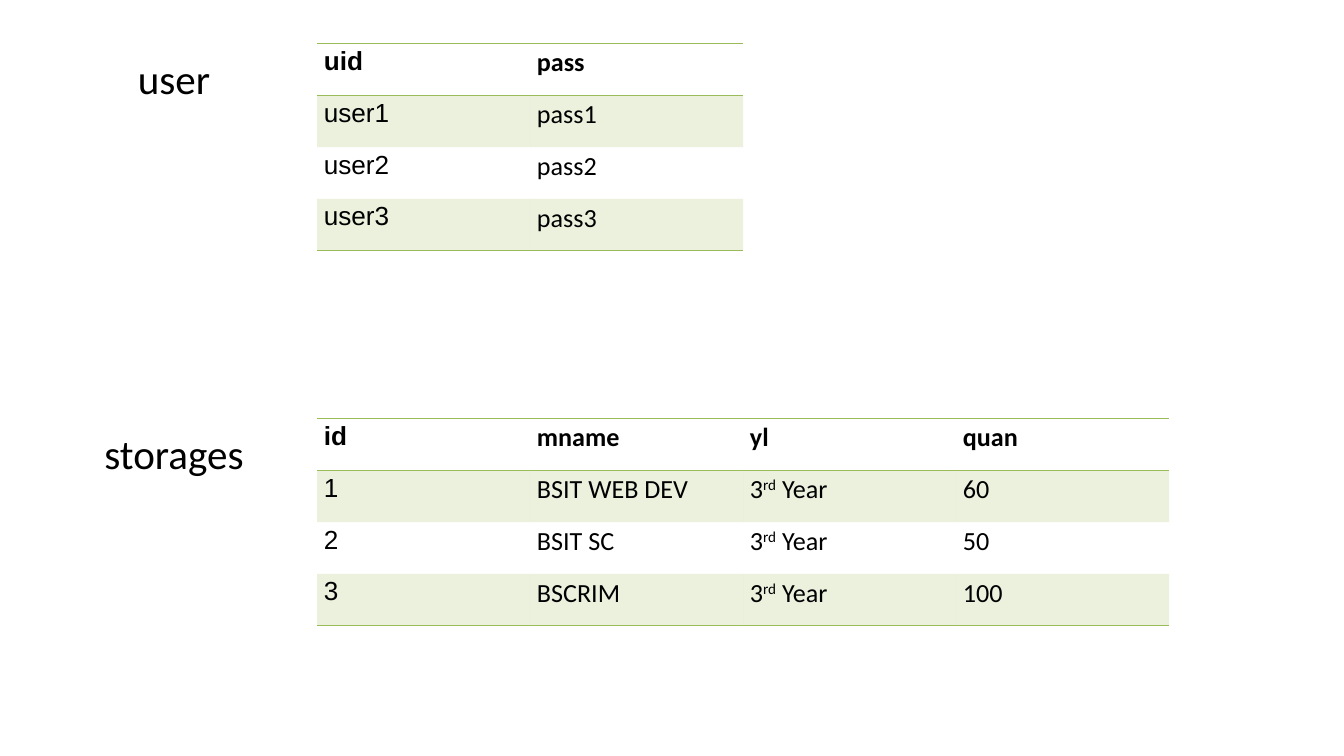
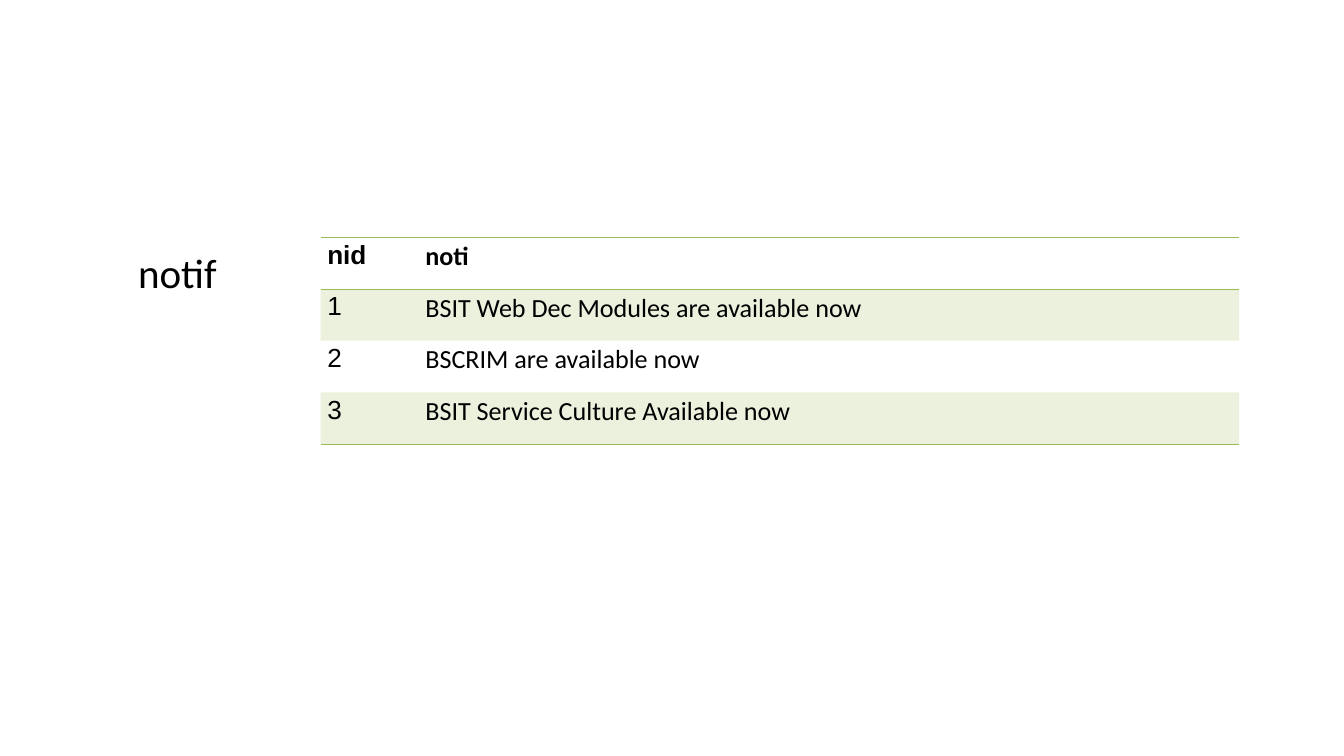
"""Build two slides that show the tables of a small module database."""
from lxml import etree
from pptx import Presentation
from pptx.dml.color import RGBColor
from pptx.enum.text import MSO_ANCHOR, MSO_AUTO_SIZE, PP_ALIGN
from pptx.oxml.ns import qn
from pptx.util import Inches, Pt

CENTER = PP_ALIGN.CENTER
MIDDLE = MSO_ANCHOR.MIDDLE
NO_AUTOFIT = MSO_AUTO_SIZE.NONE
TITLE_ONLY = 5
PLAIN_TABLE_STYLE = "{2D5ABB26-0587-4C30-8999-92F81FD0307C}"

BLACK, GREEN = "000000", "9BBB59"
BAND_OPACITY = "20000"
SUPERSCRIPT = "30000"
KEY_FONT, TEXT_FONT = "Arial", "Calibri"
LABEL_FORMAT = {"name": TEXT_FONT, "size": Pt(44)}

SLIDE_WIDTH, SLIDE_HEIGHT = 20, 11.25
ROW_HEIGHT = 0.77
COLUMN_WIDTH = 3.17
LABEL_WIDTH, LABEL_HEIGHT = 3.42, 1.03
LABEL_OFFSET = 3.84

SLIDES = [
    [
        {"name": "storages", "is_title": True, "at": (4.72, 6.23), "widths": [COLUMN_WIDTH] * 4,
         "rows": [("id", "mname", "yl", "quan"),
                  ("1", "BSIT WEB DEV", "3^rd^ Year", "60"),
                  ("2", "BSIT SC", "3^rd^ Year", "50"),
                  ("3", "BSCRIM", "3^rd^ Year", "100")]},
        {"name": "user", "is_title": False, "at": (4.72, 0.65), "widths": [COLUMN_WIDTH] * 2,
         "rows": [("uid", "pass"), ("user1", "pass1"), ("user2", "pass2"), ("user3", "pass3")]},
    ],
    [
        {"name": "notif", "is_title": True, "at": (4.77, 3.53), "widths": [1.46, 12.21],
         "rows": [("nid", "noti"),
                  ("1", "BSIT Web Dec Modules are available now"),
                  ("2", "BSCRIM are available now"),
                  ("3", "BSIT Service Culture Available now")]},
    ],
]


def paint(target, color):
    """Give a font or a solid fill its colour from a hex string."""
    target.color.rgb = RGBColor.from_string(color)


def apply_font(font, values):
    """Set each font attribute in values, then colour the text black."""
    for attribute, value in values.items():
        setattr(font, attribute, value)
    paint(font, BLACK)


def add_label(page, entity):
    """Place the name of a table to the left of it."""
    left, top = entity["at"]
    frame_at = [Inches(v) for v in (left - LABEL_OFFSET, top, LABEL_WIDTH, LABEL_HEIGHT)]
    if entity["is_title"]:
        box = page.shapes.title
        box.left, box.top, box.width, box.height = frame_at
    else:
        box = page.shapes.add_textbox(*frame_at)
    frame = box.text_frame
    frame.text = entity["name"]
    for attribute, value in {"word_wrap": True, "auto_size": NO_AUTOFIT,
                             "vertical_anchor": MIDDLE}.items():
        setattr(frame, attribute, value)
    para = frame.paragraphs[0]
    para.alignment = CENTER
    apply_font(para.runs[0].font, LABEL_FORMAT)


def add_border(cell, side):
    """Draw a one-point green line on one side of a cell."""
    line = etree.SubElement(cell._tc.get_or_add_tcPr(), qn(f"a:{side}"), w=str(Pt(1)))
    fill = etree.SubElement(line, qn("a:solidFill"))
    etree.SubElement(fill, qn("a:srgbClr"), val=GREEN)


def shade(cell):
    """Fill a cell with translucent green."""
    cell.fill.solid()
    cell.fill.fore_color.rgb = RGBColor.from_string(GREEN)
    color = cell._tc.tcPr.find(".//" + qn("a:solidFill") + "/" + qn("a:srgbClr"))
    fill = cell._tc.tcPr.find(qn("a:solidFill"))
    color = fill.find(qn("a:srgbClr"))
    etree.SubElement(color, qn("a:alpha"), val=BAND_OPACITY)


def write_cell(cell, text, values):
    """Write text in a cell, raising the parts between carets."""
    para = cell.text_frame.paragraphs[0]
    for index, part in enumerate(text.split("^")):
        span = para.add_run()
        span.text = part
        apply_font(span.font, values)
        if index % 2:
            span._r.get_or_add_rPr().set("baseline", SUPERSCRIPT)


def add_entity_table(page, entity):
    """Add a table with ruled header, shaded odd rows and a closing line."""
    rows, widths = entity["rows"], entity["widths"]
    left, top = entity["at"]
    size = (sum(widths), ROW_HEIGHT * len(rows))
    table = page.shapes.add_table(len(rows), len(widths),
                                  *[Inches(v) for v in (left, top, *size)]).table
    table._tbl.tblPr.find(qn("a:tableStyleId")).text = PLAIN_TABLE_STYLE
    for column, width in zip(table.columns, widths):
        column.width = Inches(width)
    for r, texts in enumerate(rows):
        table.rows[r].height = Inches(ROW_HEIGHT)
        for c, text in enumerate(texts):
            cell = table.cell(r, c)
            write_cell(cell, text, {"name": TEXT_FONT if c else KEY_FONT,
                                    "size": Pt(28), "bold": r == 0})
            if r == 0:
                add_border(cell, "lnT")
            if r in (0, len(rows) - 1):
                add_border(cell, "lnB")
            if r % 2:
                shade(cell)
            else:
                cell.fill.background()


def main():
    """Build the deck and save it."""
    deck = Presentation()
    deck.slide_width, deck.slide_height = Inches(SLIDE_WIDTH), Inches(SLIDE_HEIGHT)
    for entities in SLIDES:
        page = deck.slides.add_slide(deck.slide_layouts[TITLE_ONLY])
        for entity in entities:
            add_label(page, entity)
            add_entity_table(page, entity)
    deck.save("out.pptx")


if __name__ == "__main__":
    main()
